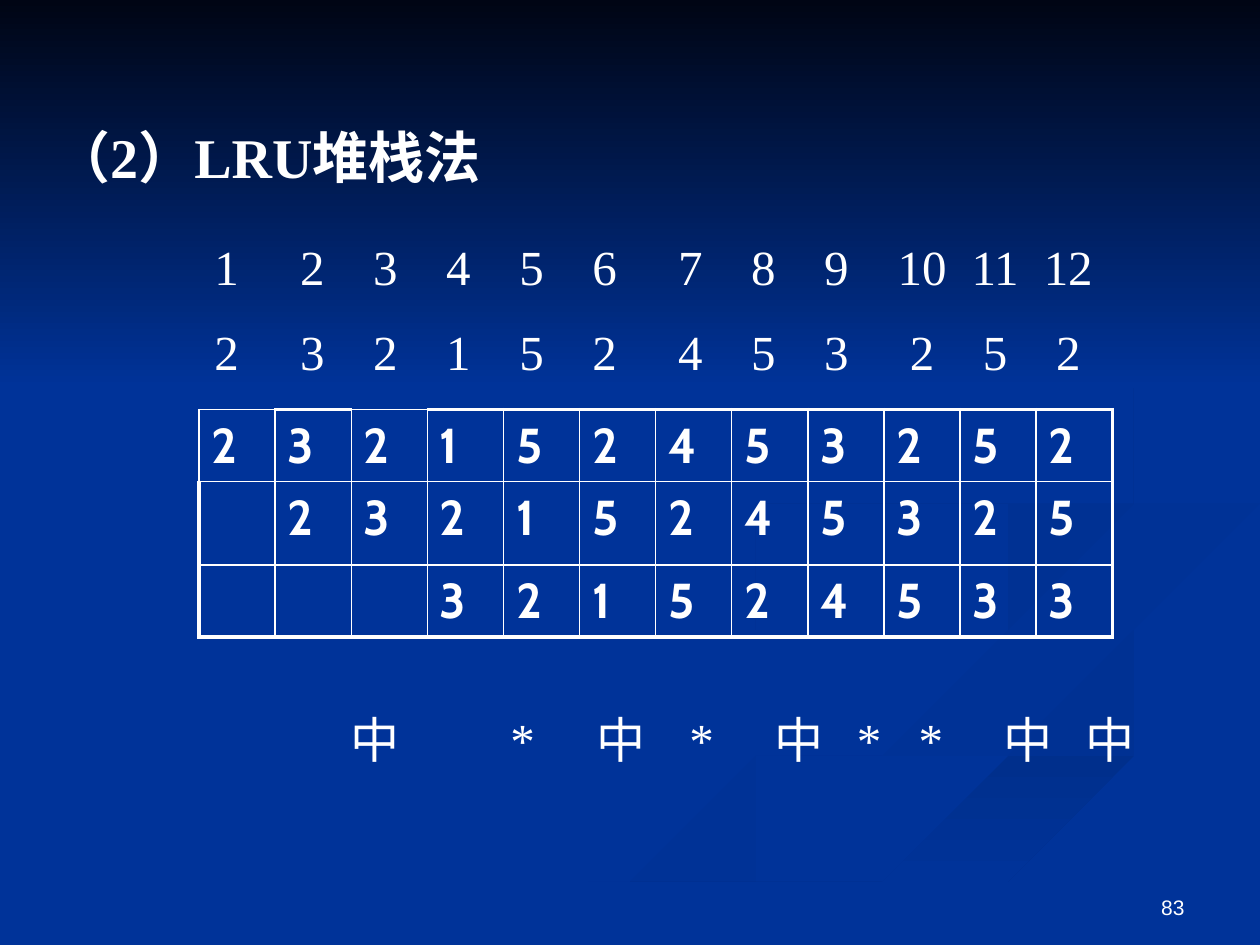
from lxml import etree
from pptx import Presentation
from pptx import util as u
from pptx.dml.color import RGBColor
from pptx.enum import shapes, text
from pptx.oxml.ns import qn

WHITE = RGBColor(0xFF, 0xFF, 0xFF)
BLUE = RGBColor(0x00, 0x33, 0x99)
NIGHT = RGBColor(0x00, 0x05, 0x14)
SHADE = RGBColor(0x00, 0x31, 0x93)
DEEP = RGBColor(0x00, 0x2F, 0x8C)
SERIF, SANS, TABLE_FONT = "Times New Roman", "Arial", "Cabin"


class Deck:
    """Holds the style and the current slide."""

    def __init__(self, width, height):
        self.prs = Presentation()
        self.prs.slide_width, self.prs.slide_height = u.Inches(width), u.Inches(height)
        self.s = self.prs.slides.add_slide(self.prs.slide_layouts[5])
        fill = self.s.background.fill
        fill.solid()
        fill.fore_color.rgb = BLUE

    def paint(self, sp, colors, angle=0):
        sp.shadow.inherit = False
        sp.line.fill.background()
        if len(colors) == 1:
            sp.fill.solid()
            sp.fill.fore_color.rgb = colors[0]
            return
        sp.fill.gradient()
        sp.fill.gradient_angle = (360 - angle) % 360
        for stop, color in zip(sp.fill.gradient_stops, colors):
            stop.color.rgb = color

    def band(self, box, colors, angle):
        sp = self.s.shapes.add_shape(shapes.MSO_SHAPE.RECTANGLE, *map(u.Inches, box))
        self.paint(sp, colors, angle)

    def ribbon(self, points, colors, angle=0):
        builder = self.s.shapes.build_freeform(*points[0], scale=u.Inches(1))
        builder.add_line_segments(points[1:], close=True)
        self.paint(builder.convert_to_shape(), colors, angle)

    def font(self, p, size, name, bold=False):
        f = p.font
        f.size, f.name, f.bold, f.color.rgb = u.Pt(size), name, bold, WHITE

    def fill_text(self, sp, lines, size, name, bold=False, align=text.PP_ALIGN.LEFT,
                  anchor=text.MSO_ANCHOR.TOP, tabs=()):
        tf = sp.text_frame
        tf.word_wrap, tf.vertical_anchor = True, anchor
        tf.auto_size = text.MSO_AUTO_SIZE.NONE
        for i, line in enumerate(lines):
            p = tf.add_paragraph() if i else tf.paragraphs[0]
            p.text, p.alignment = line, align
            p.space_before = u.Pt(15 if i else 0)
            if tabs:
                stops = etree.SubElement(p._p.get_or_add_pPr(), qn("a:tabLst"))
                for pos in tabs:
                    etree.SubElement(stops, qn("a:tab"), pos=str(u.Inches(pos)), algn="ctr")
            self.font(p, size, name, bold)

    def title(self, box, line, size):
        sp = self.s.shapes.title
        sp.left, sp.top, sp.width, sp.height = map(u.Inches, box)
        self.s.shapes._spTree.append(sp._element)  # in front of the backdrop
        self.fill_text(sp, [line], size, SERIF, bold=True)

    def label(self, box, lines, size, name=SERIF, **style):
        sp = self.s.shapes.add_textbox(*map(u.Inches, box))
        self.fill_text(sp, lines, size, name, **style)

    def border(self, cell, side, width):
        ln = etree.SubElement(cell._tc.get_or_add_tcPr(), qn("a:ln" + side), w=str(u.Pt(width)))
        fill = etree.SubElement(ln, qn("a:solidFill"))
        etree.SubElement(fill, qn("a:srgbClr"), val=str(WHITE))

    def table(self, box, heights, rows, thin_edges):
        n_rows, n_cols = len(rows), len(rows[0])
        frame = self.s.shapes.add_table(n_rows, n_cols, *map(u.Inches, box))
        tbl = frame.table
        tbl.first_row = tbl.horz_banding = False
        for row, height in zip(tbl.rows, heights):
            row.height = u.Inches(height)
        for r, values in enumerate(rows):
            for c, value in enumerate(values):
                cell = tbl.cell(r, c)
                outer = {"L": c == 0, "R": c == n_cols - 1, "T": r == 0, "B": r == n_rows - 1}
                for side, is_outer in outer.items():
                    thick = is_outer and (r, c, side) not in thin_edges
                    self.border(cell, side, 2.25 if thick else 1)
                cell.fill.background()
                p = cell.text_frame.paragraphs[0]
                if value.strip():
                    p.text = value
                self.font(p, 28, TABLE_FONT, bold=True)


# Outlines of the backdrop ribbons
LEFT_CURL = [
    (7.81, 5.53), (7.67, 5.47), (7.45, 5.38), (7.15, 5.28), (6.82, 5.19), (6.42, 5.07),
    (6.14, 4.96), (5.94, 4.85), (5.83, 4.77), (5.76, 4.69), (5.75, 4.59), (5.7, 4.68),
    (5.72, 4.76), (5.81, 4.84), (6.02, 4.95), (6.31, 5.05), (6.79, 5.19), (7.14, 5.3),
    (7.41, 5.39), (7.62, 5.47), (7.81, 5.56), (7.86, 5.66), (7.8, 5.79), (7.67, 5.87),
    (7.39, 5.98), (6.99, 6.09), (6.52, 6.2), (5.79, 6.39), (4.99, 6.61), (4.17, 6.9),
    (3.38, 7.27), (3, 7.49), (3.61, 7.49), (4.31, 7.14), (4.99, 6.87), (5.64, 6.65),
    (6.23, 6.47), (6.76, 6.34), (7.4, 6.18), (7.8, 6.05), (7.95, 5.92), (8, 5.81),
    (7.95, 5.67)]
RIGHT_CURL = [
    (9.43, 5.7), (9.3, 5.53), (9.05, 5.4), (8.7, 5.3), (8.3, 5.19), (7.92, 5.09),
    (7.58, 4.98), (7.33, 4.83), (7.24, 4.64), (7.27, 4.79), (7.39, 4.94), (7.66, 5.12),
    (7.97, 5.24), (8.38, 5.36), (8.68, 5.44), (8.92, 5.53), (9.07, 5.62), (9.17, 5.76),
    (9.17, 5.85), (9.07, 5.97), (8.94, 6.05), (9.16, 5.97), (9.32, 5.89), (9.41, 5.81)]
TAIL = [
    (5.19, 7.47), (5.03, 7.49), (5.71, 7.49), (6, 7.33), (6.49, 7.1), (6.95, 6.92),
    (7.52, 6.72), (8.21, 6.51), (9.03, 6.3), (9.98, 6.09), (9.98, 5.81), (9.76, 5.9),
    (9.36, 6.02), (8.67, 6.2), (7.97, 6.38), (7.64, 6.47), (6.96, 6.69), (6.3, 6.93),
    (5.69, 7.19)]
BODY = [
    (7.25, 4.64), (7.34, 4.83), (7.59, 4.98), (7.93, 5.09), (8.31, 5.19), (8.71, 5.3),
    (9.05, 5.4), (9.31, 5.53), (9.43, 5.7), (9.4, 5.83), (9.26, 5.93), (9.02, 6.03),
    (8.69, 6.11), (8.12, 6.25), (7.43, 6.43), (6.63, 6.68), (5.73, 7.03), (4.77, 7.49),
    (5.03, 7.49), (5.7, 7.19), (6.3, 6.93), (6.96, 6.69), (7.65, 6.47), (8.32, 6.29),
    (9.04, 6.1), (9.51, 5.98), (9.99, 5.81), (9.99, 5.38), (9.41, 5.27), (8.66, 5.09),
    (8.17, 4.92), (7.86, 4.73), (7.82, 4.6), (8, 4.42), (8.35, 4.3), (8.99, 4.18),
    (9.68, 4.09), (9.99, 4.02), (9.99, 3.87), (9.42, 3.99), (8.74, 4.08), (8.08, 4.17),
    (7.55, 4.32), (7.3, 4.49)]
RIGHT_BEND = [
    (7.81, 4.6), (7.82, 4.69), (7.91, 4.78), (8.06, 4.87), (8.26, 4.96), (8.12, 4.87),
    (8.05, 4.76), (8.06, 4.68), (8.16, 4.59), (8.43, 4.48), (8.78, 4.39), (9.36, 4.29),
    (9.71, 4.23), (9.98, 4.2), (9.98, 4.02), (9.67, 4.09), (8.98, 4.18), (8.49, 4.27),
    (8.1, 4.37), (7.91, 4.47)]
TOP_BEND = [
    (6.83, 4.3), (7.39, 4.21), (7.86, 4.12), (8.25, 4.02), (8.55, 3.91), (8.76, 3.78),
    (8.89, 3.62), (8.94, 3.44), (8.9, 3.24), (8.8, 3.07), (8.64, 2.91), (8.43, 2.75),
    (8.1, 2.56), (7.8, 2.41), (7.62, 2.33), (8.05, 2.54), (8.46, 2.79), (8.7, 2.99),
    (8.85, 3.2), (8.89, 3.35), (8.82, 3.54), (8.61, 3.7), (8.3, 3.82), (7.91, 3.92),
    (7.33, 4.04), (6.76, 4.14), (6.25, 4.26), (5.97, 4.37), (5.8, 4.51), (5.77, 4.62),
    (5.84, 4.79), (6.04, 4.92), (6.22, 5), (6.01, 4.85), (5.93, 4.7), (6.01, 4.56),
    (6.24, 4.44), (6.49, 4.36)]

deck = Deck(10, 7.5)

# Backdrop
for points, colors, angle in [
        (LEFT_CURL, [BLUE, SHADE], 0), (RIGHT_CURL, [BLUE, SHADE], 45),
        (TAIL, [DEEP, BLUE], 90), (BODY, [BLUE], 0),
        (RIGHT_BEND, [SHADE, BLUE], 45), (TOP_BEND, [DEEP, BLUE], 45)]:
    deck.ribbon(points, colors, angle)
deck.band((0, 0, 10, 3.08), [NIGHT, BLUE], 90)

# Slide number and title
deck.label((7.17, 6.83, 2.33, 0.52), ["83"], 12, SANS,
           align=text.PP_ALIGN.RIGHT, anchor=text.MSO_ANCHOR.BOTTOM)
deck.title((0.33, 0.92, 3.67, 0.63), "（2）LRU堆栈法", 32)

# Stack contents, one column per reference
stack = ["232152453252", " 23215245325", "   321524533"]
deck.table((1.58, 3.25, 7.25, 1.79), (0.57, 0.66, 0.56), stack,
           {(0, 0, "L"), (0, 0, "T"), (0, 2, "T")})

# Time steps and page references, with wider gaps before steps 2, 7 and 10
step_tabs = [0.28 + 0.58 * i + 0.1 * sum(i >= wide for wide in (1, 6, 9)) for i in range(12)]
rows = [range(1, 13), stack[0]]
deck.label((1.42, 1.83, 7.5, 1.27), ["".join(f"\t{v}" for v in row) for row in rows],
           28, tabs=step_tabs)

# Hits and replacements
mark_tabs = [0.8, 1.97, 2.75, 3.39, 4.16, 4.72, 5.21, 5.98, 6.63]
deck.label((2.08, 5.58, 7.42, 0.57), ["".join("\t" + m for m in "中*中*中**中中")],
           28, tabs=mark_tabs)

deck.prs.save("out.pptx")
